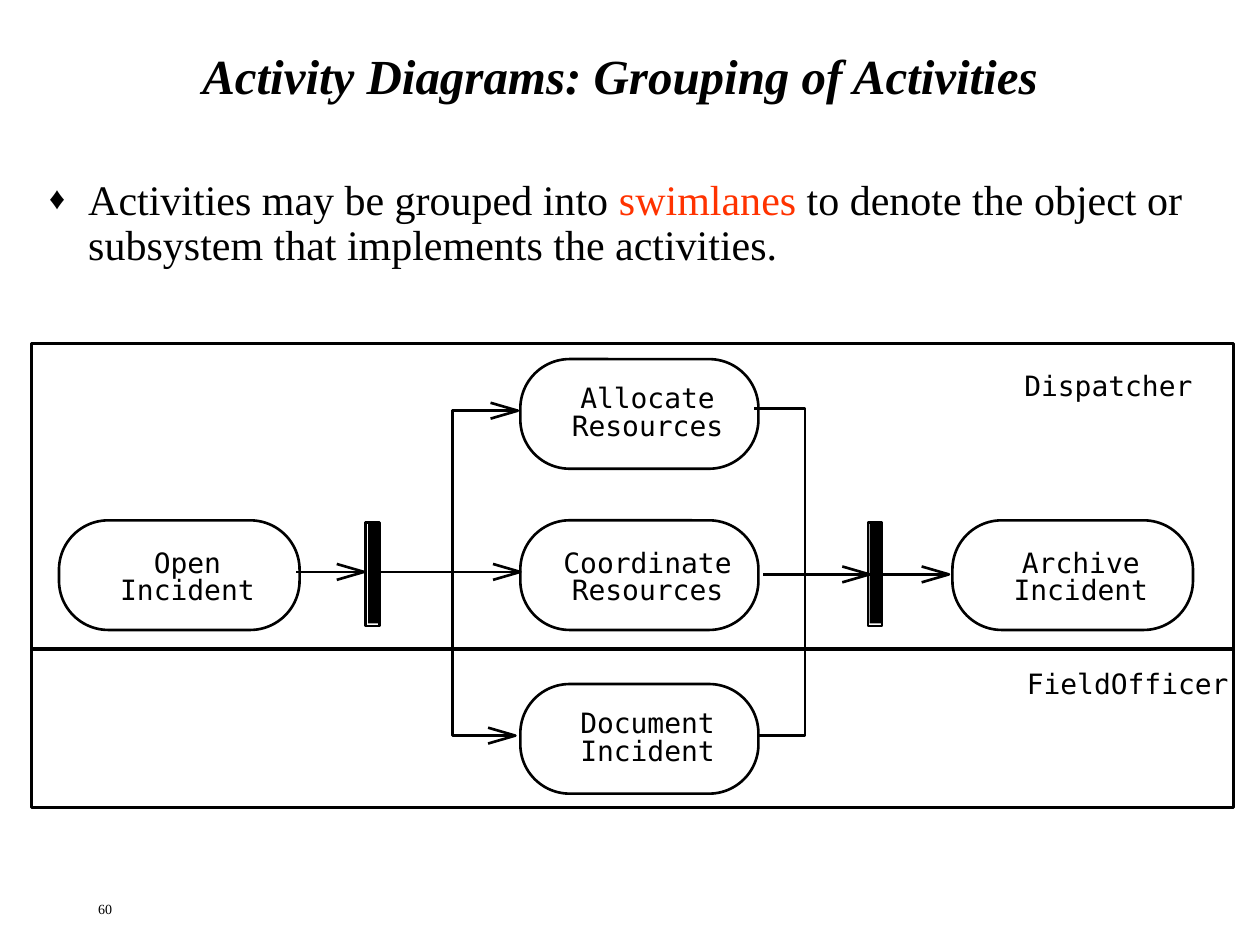
from lxml.etree import SubElement
from pptx import Presentation
from pptx.dml.color import RGBColor
from pptx.enum.shapes import MSO_CONNECTOR as Connector, MSO_SHAPE as Shape
from pptx.enum.text import MSO_ANCHOR as Anchor, PP_ALIGN as Align
from pptx.oxml.ns import qn
from pptx.util import Cm, Pt

BLACK = RGBColor(0x00, 0x00, 0x00)
RED = RGBColor(0xFF, 0x33, 0x00)
SERIF = "Times New Roman"
MONO = "DejaVu Sans Mono"
LINE_WIDTH = Pt(1.5)

deck = Presentation()
deck.slide_width, deck.slide_height = Cm(25.4), Cm(19.05)
page = deck.slides.add_slide(deck.slide_layouts[6])
shapes = page.shapes


def add_text(left, top, width, height, spans, font_values, anchor=Anchor.TOP):
    """Add a text box without margins; spans are (text, colour) pairs."""
    box = shapes.add_textbox(Cm(left), Cm(top), Cm(width), Cm(height))
    frame = box.text_frame
    frame.word_wrap = True
    frame.vertical_anchor = anchor
    for side in ("left", "top", "right", "bottom"):
        setattr(frame, f"margin_{side}", 0)
    para = frame.paragraphs[0]
    for text, color in spans:
        span = para.add_run()
        span.text = text
        span.font.color.rgb = color
        for name, value in font_values.items():
            setattr(span.font, name, value)
    return para


def outline(shape):
    """Leave the shape unfilled with a black outline."""
    shape.shadow.inherit = False
    shape.fill.background()
    shape.line.color.rgb = BLACK
    shape.line.width = LINE_WIDTH


# Title, body and page number
title = add_text(1.17, 0.61, 22.66, 1.96,
                 [("Activity Diagrams: Grouping of Activities", BLACK)],
                 {"name": SERIF, "size": Pt(28), "bold": True, "italic": True},
                 Anchor.MIDDLE)
title.alignment = Align.CENTER
title.line_spacing = 0.9

body = add_text(0.99, 3.61, 22.94, 2.5,
                [("Activities may be grouped into ", BLACK),
                 ("swimlanes", RED),
                 (" to denote the object or subsystem that implements "
                  "the activities.", BLACK)],
                {"name": SERIF, "size": Pt(24)})
body.line_spacing = 0.9
properties = body._p.get_or_add_pPr()
properties.set("marL", str(Cm(0.79)))
properties.set("indent", str(-Cm(0.79)))
bullet_color = SubElement(properties, qn("a:buClr"))
SubElement(bullet_color, qn("a:srgbClr"), val=str(BLACK))
SubElement(properties, qn("a:buSzPct"), val="75000")
SubElement(properties, qn("a:buFont"), typeface=SERIF)
SubElement(properties, qn("a:buChar"), char="♦")

add_text(1.98, 18.16, 21, 0.5, [("60", BLACK)], {"name": SERIF, "size": Pt(8)})

# Activities: left, top, width, top inset, label lines
activities = [
    (1.19, 10.49, 4.85, 0.35, ("Open", "Incident")),
    (10.49, 7.24, 4.8, 0.28, ("Allocate", "Resources")),
    (10.49, 10.49, 4.8, 0.35, ("Coordinate", "Resources")),
    (10.49, 13.79, 4.8, 0.28, ("Document", "Incident")),
    (19.2, 10.49, 4.85, 0.35, ("Archive", "Incident")),
]
for left, top, width, inset, lines in activities:
    activity = shapes.add_shape(Shape.ROUNDED_RECTANGLE, Cm(left), Cm(top),
                                Cm(width), Cm(2.21))
    activity.adjustments[0] = 0.45
    outline(activity)
    frame = activity.text_frame
    frame.vertical_anchor = Anchor.TOP
    frame.margin_left, frame.margin_top = Cm(0.33), Cm(inset)
    frame.margin_right = frame.margin_bottom = 0
    frame.text = "\n".join(lines)
    for para in frame.paragraphs:
        para.alignment = Align.CENTER
        para.line_spacing = Pt(15.5)
        para.font.name = MONO
        para.font.size = Pt(16)
        para.font.color.rgb = BLACK

# Fork and join bars: black core inside an outline
for core_left, frame_left in [(7.42, 7.37), (17.53, 17.5)]:
    core = shapes.add_shape(Shape.RECTANGLE, Cm(core_left), Cm(10.54),
                            Cm(0.23), Cm(2.03))
    core.shadow.inherit = False
    core.fill.solid()
    core.fill.fore_color.rgb = BLACK
    core.line.fill.background()
    outline(shapes.add_shape(Shape.RECTANGLE, Cm(frame_left), Cm(10.54),
                             Cm(0.28), Cm(2.08)))

# Straight flows: start x, end x, y
flows = [(5.97, 7.34, 11.53), (7.67, 10.49, 11.53),
         (15.39, 17.53, 11.58), (17.7, 19.13, 11.58)]
for start, end, y in flows:
    flow = shapes.add_connector(Connector.STRAIGHT, Cm(start), Cm(y),
                                Cm(end), Cm(y))
    flow.line.color.rgb = BLACK
    flow.line.width = LINE_WIDTH
    SubElement(flow._element.spPr, qn("a:effectLst"))

# Branching flows, then the open arrowheads
branches = [
    [(10.44, 8.28), (9.12, 8.28), (9.12, 14.83), (10.39, 14.83)],
    [(15.21, 8.23), (16.23, 8.23), (16.23, 14.83), (15.29, 14.83)],
]
tips = [(end, y) for _, end, y in flows] + [branches[0][0], branches[0][-1]]
heads = [[(x - 0.55, y - 0.16), (x, y), (x - 0.55, y + 0.16)] for x, y in tips]
for points in branches + heads:
    first, *rest = [(Cm(x), Cm(y)) for x, y in points]
    builder = shapes.build_freeform(*first)
    builder.add_line_segments(rest, close=False)
    outline(builder.convert_to_shape())

# Swimlanes with their names
lanes = [
    (6.93, 6.17, "Dispatcher", 20.65, 7.44),
    (13.08, 3.2, "FieldOfficer", 20.7, 13.44),
]
for top, height, name, name_left, name_top in lanes:
    outline(shapes.add_shape(Shape.RECTANGLE, Cm(0.64), Cm(top),
                             Cm(24.23), Cm(height)))
    add_text(name_left, name_top, 4.15, 0.66, [(name, BLACK)],
             {"name": MONO, "size": Pt(16)})

deck.save("out.pptx")
